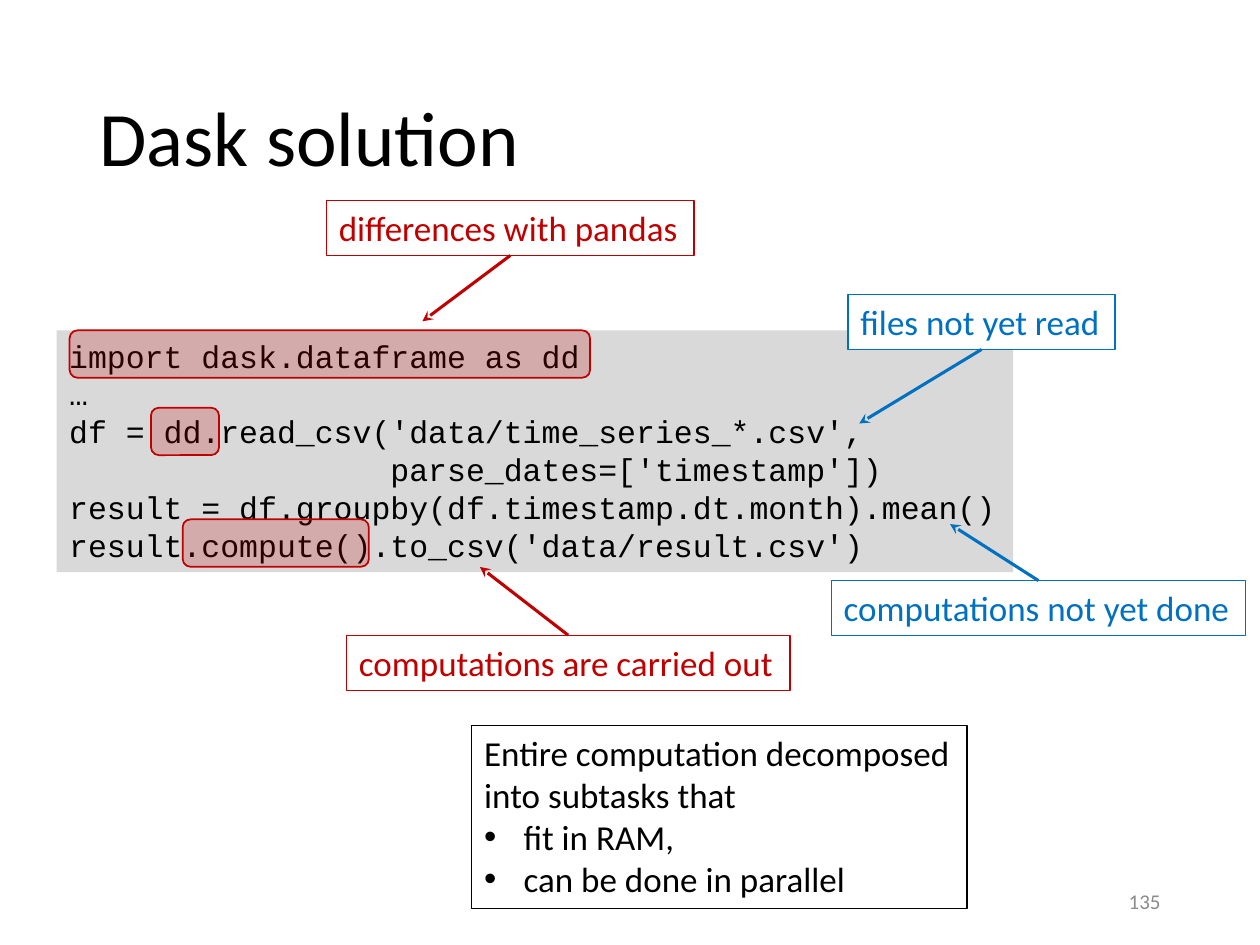
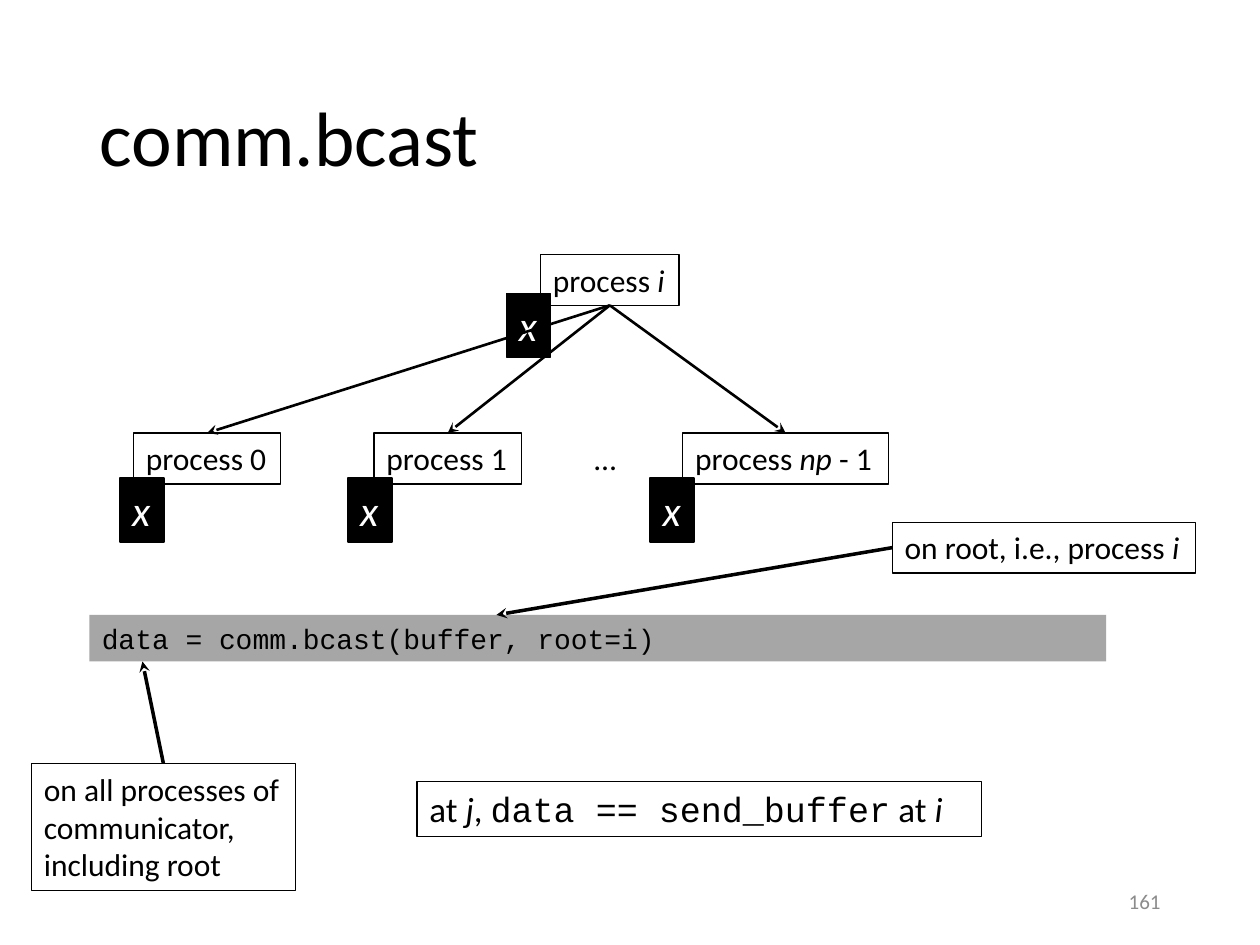
from lxml import etree
from pptx import Presentation
from pptx.dml.color import RGBColor
from pptx.enum import shapes, text
from pptx.oxml import ns
from pptx.util import Pt

BLACK = RGBColor(0x00, 0x00, 0x00)
WHITE = RGBColor(0xFF, 0xFF, 0xFF)
RED = RGBColor(0xC0, 0x00, 0x00)
BLUE = RGBColor(0x00, 0x70, 0xC0)
LIGHT_GREY = RGBColor(0xD9, 0xD9, 0xD9)
MID_GREY = RGBColor(0xA6, 0xA6, 0xA6)
NUMBER_GREY = RGBColor(0x8C, 0x8C, 0x8C)

BODY_FONT = "Calibri"
CODE_FONT = "Courier New"
ITALIC = {"italic": True}
MONO = {"name": CODE_FONT}

# Connection sites of a rectangle
TOP, LEFT, BOTTOM = 0, 1, 2


def add_xml(parent, tag, **attributes):
    return etree.SubElement(parent, ns.qn(tag), attributes)


class Deck:
    """The shared style, the presentation and the slide being built."""

    def __init__(self):
        self.prs = Presentation()
        self.prs.slide_width, self.prs.slide_height = Pt(720), Pt(540)
        self.slide = None

    def new_slide(self, heading, number):
        layout = self.prs.slide_layouts.get_by_name("Title Only")
        self.slide = self.prs.slides.add_slide(layout)
        title = self.slide.shapes.title
        title.left, title.top = Pt(49.7), Pt(28.8)
        title.width, title.height = Pt(620.6), Pt(104.4)
        title.text_frame.auto_size = text.MSO_AUTO_SIZE.NONE
        title.text_frame.vertical_anchor = text.MSO_ANCHOR.MIDDLE
        self.add_text(title, [heading], 44, BLACK)
        paragraph = title.text_frame.paragraphs[0]
        paragraph.alignment = text.PP_ALIGN.LEFT
        paragraph.line_spacing = 0.9

        page = self.label(508.3, 500.4, 162, 28.8, [str(number)], 12,
                          NUMBER_GREY, outlined=False, wrap=True)
        page.text_frame.auto_size = text.MSO_AUTO_SIZE.NONE
        page.text_frame.vertical_anchor = text.MSO_ANCHOR.MIDDLE
        page.text_frame.paragraphs[0].alignment = text.PP_ALIGN.RIGHT

    def add_text(self, shape, paragraphs, size, color, **style):
        """A paragraph is a string or a list of strings and (string, style)."""
        frame = shape.text_frame
        for index, content in enumerate(paragraphs):
            paragraph = frame.add_paragraph() if index else frame.paragraphs[0]
            for part in [content] if isinstance(content, str) else content:
                words, extra = (part, {}) if isinstance(part, str) else part
                for row, line in enumerate(words.split("\n")):
                    if row:
                        paragraph.add_line_break()
                    run = paragraph.add_run()
                    run.text = line
                    run.font.size = Pt(size)
                    run.font.color.rgb = color
                    look = {"name": BODY_FONT, **style, **extra}
                    run.font.name = look["name"]
                    if "italic" in look:
                        run.font.italic = look["italic"]

    def label(self, left, top, width, height, paragraphs, size=18, color=BLACK,
              fill=None, outlined=True, wrap=False, **style):
        box = self.slide.shapes.add_textbox(Pt(left), Pt(top), Pt(width), Pt(height))
        box.text_frame.word_wrap = wrap
        box.text_frame.auto_size = text.MSO_AUTO_SIZE.SHAPE_TO_FIT_TEXT
        if fill is not None:
            box.fill.solid()
            box.fill.fore_color.rgb = fill
        if outlined:
            box.line.color.rgb = BLACK if color == WHITE else color
            box.line.width = Pt(0.75)
        self.add_text(box, paragraphs, size, color, **style)
        return box

    def code(self, left, top, width, height, paragraphs, size, fill, wrap=False):
        return self.label(left, top, width, height, paragraphs, size, fill=fill,
                          outlined=False, wrap=wrap, **MONO)

    def value(self, left, top):
        box = self.label(left, top, 25.2, 36.4, ["x"], 24, WHITE, BLACK, **ITALIC)
        box.line.width = Pt(1)

    def bullet(self, paragraph):
        properties = paragraph._p.get_or_add_pPr()
        properties.set("marL", str(Pt(22.5)))
        properties.set("indent", str(-Pt(22.5)))
        add_xml(properties, "a:buFont", typeface="Arial")
        add_xml(properties, "a:buChar", char="•")

    def highlight(self, left, top, width):
        mark = self.slide.shapes.add_shape(
            shapes.MSO_SHAPE.ROUNDED_RECTANGLE, Pt(left), Pt(top), Pt(width), Pt(27.1))
        mark.shadow.inherit = False
        mark.fill.solid()
        mark.fill.fore_color.rgb = RED
        tint = mark._element.spPr.find(".//" + ns.qn("a:srgbClr"))
        add_xml(tint, "a:alpha", val="21000")
        mark.line.color.rgb = RED
        mark.line.width = Pt(1)

    def arrow(self, source, site, target, color=BLACK, width=1.75):
        """Point from a site of a box to a position or to the top of a box."""
        x, y = target if isinstance(target, tuple) else (0, 0)
        line = self.slide.shapes.add_connector(
            shapes.MSO_CONNECTOR.STRAIGHT, Pt(0), Pt(0), Pt(x), Pt(y))
        line.begin_connect(source, site)
        if not isinstance(target, tuple):
            line.end_connect(target, TOP)
        line.line.color.rgb = color
        line.line.width = Pt(width)
        properties = line._element.spPr
        add_xml(properties.find(ns.qn("a:ln")), "a:tailEnd", type="stealth")
        add_xml(properties, "a:effectLst")

    def callout(self, left, top, width, words, color, site, target):
        box = self.label(left, top, width, 31.5, [words], 20, color, WHITE)
        self.arrow(box, site, target, color)


def dask_slide(deck):
    deck.new_slide("Dask solution", 135)
    deck.code(32.4, 188.8, 546.5, 138.2, [
        "import dask.dataframe as dd",
        "…",
        "df = dd.read_csv('data/time_series_*.csv',\n"
        "                 parse_dates=['timestamp'])",
        "result = df.groupby(df.timestamp.dt.month).mean()",
        "result.compute().to_csv('data/result.csv')",
    ], 18, LIGHT_GREY)

    # Lazy steps in blue, the step that runs in red
    deck.callout(484.6, 168.2, 152.6, "files not yet read", BLUE, BOTTOM, (491, 242))
    deck.callout(475, 331.8, 236.9, "computations not yet done", BLUE, TOP, (542.9, 299.5))
    deck.callout(198, 363, 253.4, "computations are carried out", RED, TOP, (274.3, 324))

    # Summary
    summary = deck.label(269.6, 414.6, 283, 104.4, [
        "Entire computation decomposed\ninto subtasks that",
        "fit in RAM,",
        "can be done in parallel",
    ], 20)
    for paragraph in summary.text_frame.paragraphs[1:]:
        deck.bullet(paragraph)

    # Changed code
    for left, top, width in [(39.8, 188.8, 297.4), (104.4, 296.8, 106.4), (86.3, 233, 38.9)]:
        deck.highlight(left, top, width)
    deck.callout(186.5, 114.5, 210.2, "differences with pandas", RED, BOTTOM, (241.4, 183.6))


def bcast_slide(deck):
    deck.new_slide("comm.bcast", 161)

    # Receiving processes and the root
    row_top = 247.4
    receivers = [
        deck.label(left, row_top, width, 29.1, [name])
        for left, width, name in [
            (76.3, 84.2, "process 0"),
            (213.8, 84.2, "process 1"),
            (390.2, 117.4, ["process ", ("np", ITALIC), " - 1"]),
        ]
    ]
    root = deck.label(308.9, 145.4, 79.2, 29.1, [["process ", ("i", ITALIC)]])
    deck.value(289.4, 167.8)
    deck.label(332.6, row_top, 27.4, 29.1, ["…"], outlined=False)

    # Broadcast
    for receiver in receivers:
        deck.arrow(root, BOTTOM, receiver, width=1.5)
    for left in (68.4, 198.7, 371.5):
        deck.value(left, 273.2)

    # Call and its notes
    deck.code(51.1, 351.4, 581, 26.6, ["data = comm.bcast(buffer, root=i)"],
              16, MID_GREY, wrap=True)
    on_root = deck.label(509.8, 298.4, 173.5, 29.1,
                         [["on root, i.e., process ", ("i", ITALIC)]], fill=WHITE)
    deck.arrow(on_root, LEFT, (283.7, 351.4), width=2)
    on_all = deck.label(18, 436.3, 150.8, 72.7,
                        ["on all processes of\ncommunicator,\nincluding root"], fill=WHITE)
    deck.arrow(on_all, TOP, (81.4, 378), width=2)

    # Result
    deck.label(238.3, 446.4, 322.6, 31.5, [[
        "at ", ("j", ITALIC), ", ", ("data == send_buffer", MONO), " at ", ("i", ITALIC),
    ]], 20)


def main():
    deck = Deck()
    dask_slide(deck)
    bcast_slide(deck)
    deck.prs.save("out.pptx")


if __name__ == "__main__":
    main()
